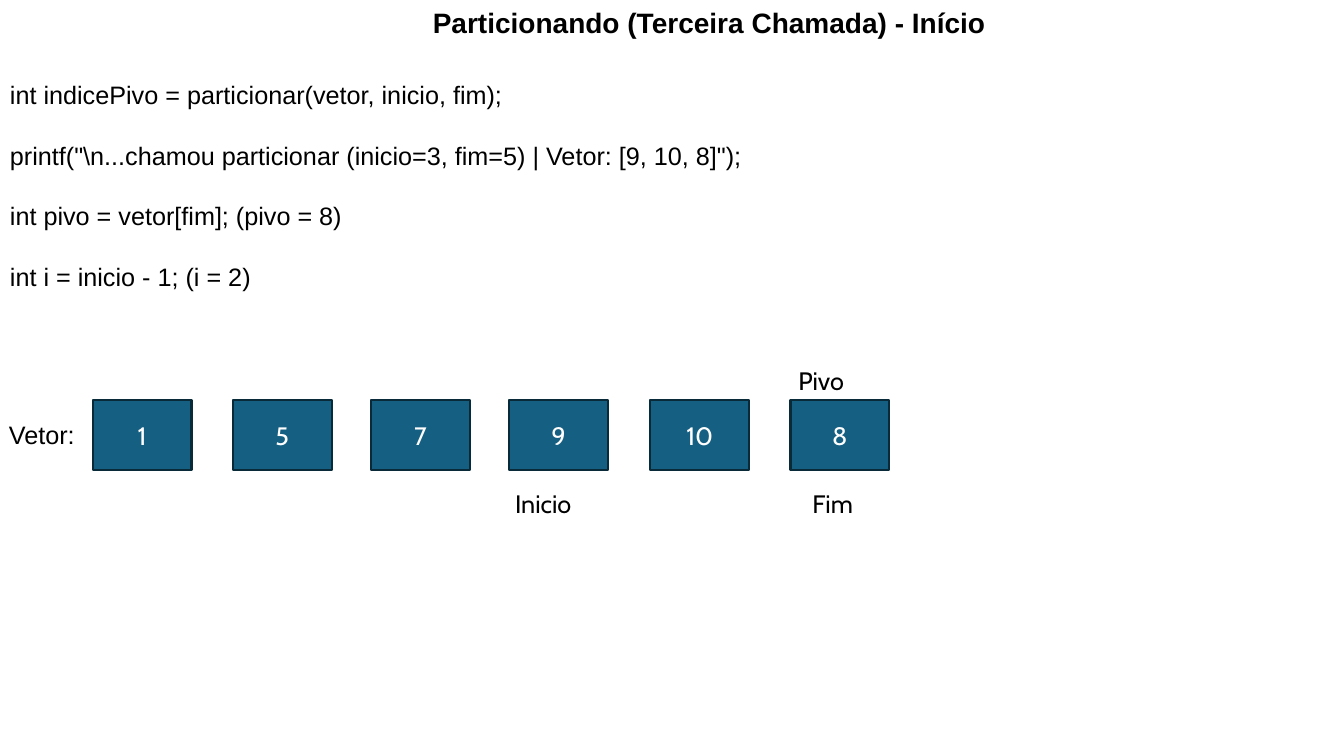
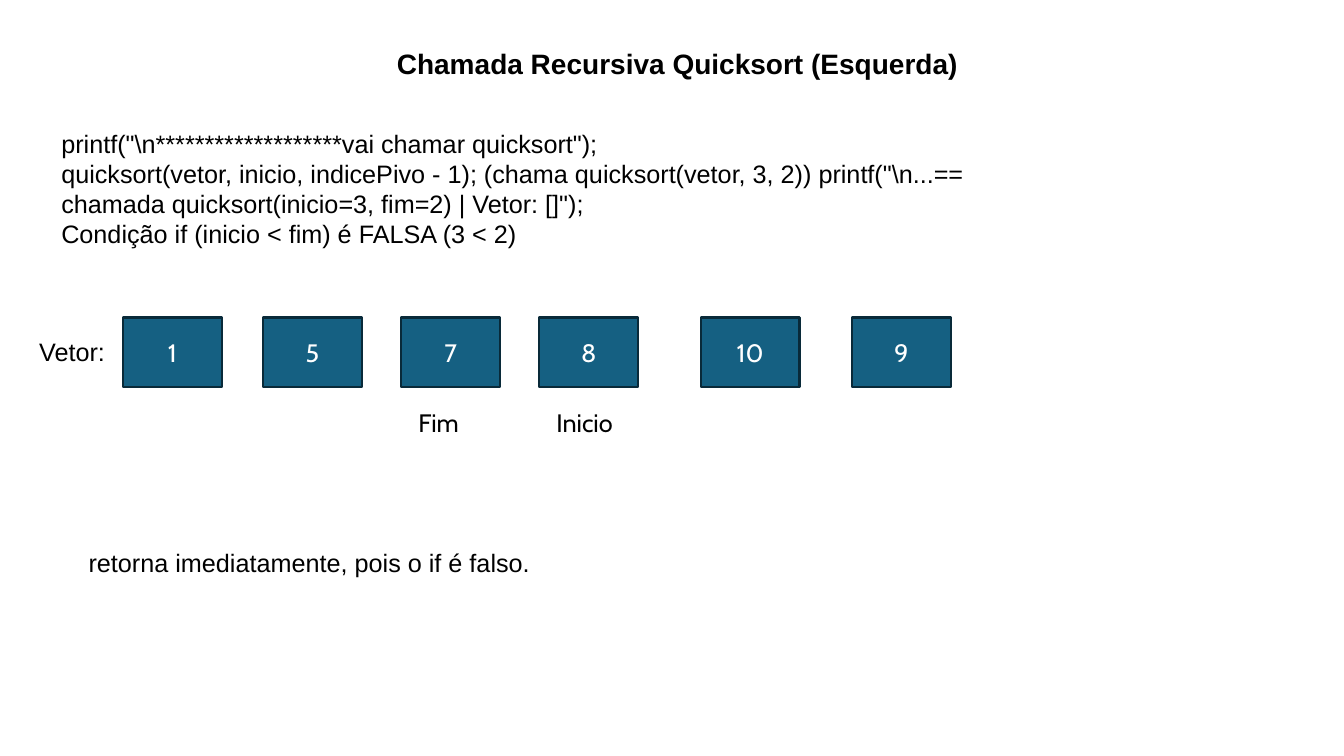
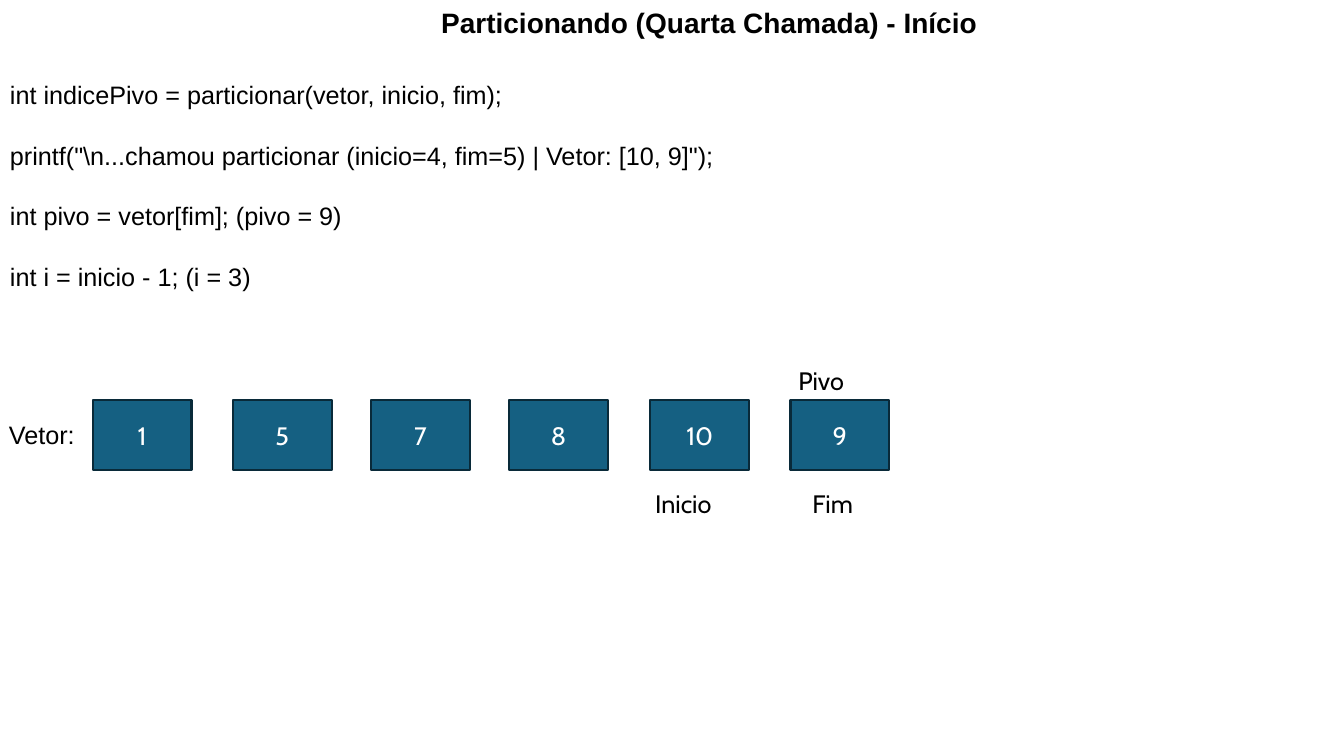
from pptx import Presentation
from pptx.dml.color import RGBColor as Rgb
from pptx.enum.shapes import MSO_SHAPE as Shape
from pptx.enum.text import MSO_ANCHOR as Anchor, PP_ALIGN as Align
from pptx.util import Pt

PX = 9144
HEX = {"text": "000000", "cell": "156082", "edge": "092A39", "digit": "FFFFFF"}
BODY, LABEL = "Arial", "Cabin"
LEAD = 1.2


def tint(name):
    return Rgb.from_string(HEX[name])


class Deck:
    def __init__(self):
        self.prs = Presentation()
        self.prs.slide_width, self.prs.slide_height = 1333 * PX, 750 * PX

    def style(self, par, face, size=18, color="text", bold=False):
        font = par.font
        font.name, font.size, font.bold = face, Pt(size), bold
        font.color.rgb = tint(color)
        if face == BODY:
            par.line_spacing = Pt(size * LEAD)

    def slide(self, title, x, y, w):
        self.page = self.prs.slides.add_slide(self.prs.slide_layouts[5])
        head = self.page.shapes.title
        head.left, head.top, head.width, head.height = (v * PX for v in (x, y, w, 44))
        frame = head.text_frame
        frame.text = title
        frame.vertical_anchor = Anchor.TOP
        par = frame.paragraphs[0]
        par.alignment = Align.CENTER
        self.style(par, BODY, 20, bold=True)

    def text(self, lines, x, y, w, h=40, face=BODY, gap=0):
        box = self.page.shapes.add_textbox(x * PX, y * PX, w * PX, h * PX)
        frame = box.text_frame
        frame.word_wrap = True
        frame.text = "\n".join(lines)
        for par in frame.paragraphs:
            self.style(par, face)
            par.space_after = Pt(gap)

    def label(self, word, x, y, w):
        self.text([word], x, y, w, face=LABEL)

    def cell(self, value, x, y):
        box = self.page.shapes.add_shape(Shape.RECTANGLE, x * PX, y * PX, 98 * PX, 69 * PX)
        box.shadow.inherit = False
        box.fill.solid()
        box.fill.fore_color.rgb = tint("cell")
        box.line.color.rgb = tint("edge")
        box.line.width = Pt(1.5)
        frame = box.text_frame
        frame.text = str(value)
        frame.vertical_anchor = Anchor.MIDDLE
        par = frame.paragraphs[0]
        par.alignment = Align.CENTER
        self.style(par, LABEL, color="digit")

    def array(self, values, spots, y):
        self.text(["Vetor:"], spots[0] - 93, y + 14, 1053)
        for value, x in zip(values, spots):
            self.cell(value, x, y)

    def split(self, call, first, values, left):
        self.slide(f"Particionando ({call} Chamada) - Início", 264, 0, 879)
        pivot = values[-1]
        lines = [
            "int indicePivo = particionar(vetor, inicio, fim);",
            rf'printf("\n...chamou particionar (inicio={first}, fim=5) | Vetor: {values[first:]}");',
            f"int pivo = vetor[fim]; (pivo = {pivot})",
            f"int i = inicio - 1; (i = {first - 1})",
        ]
        self.text(lines, 0, 74, 871, 283, gap=18 * LEAD)
        self.array(values, [92, 231, 368, 505, 645, 784], 397)
        self.label("Inicio", left, 480, 107)
        self.label("Fim", 796, 480, 76)
        self.label("Pivo", 782, 358, 96)

    def recurse(self):
        self.slide("Chamada Recursiva Quicksort (Esquerda)", 293, 41, 758)
        lines = [
            r'printf("\n*******************vai chamar quicksort");',
            "quicksort(vetor, inicio, indicePivo - 1); (chama quicksort(vetor, 3, 2)) "
            r'printf("\n...== chamada quicksort(inicio=3, fim=2) | Vetor: []");',
            "Condição if (inicio < fim) é FALSA (3 < 2)",
        ]
        self.text(lines, 51, 122, 1000, 162)
        self.array([1, 5, 7, 8, 10, 9], [122, 261, 398, 535, 695, 845], 315)
        self.label("Inicio", 542, 399, 85)
        self.label("Fim", 405, 399, 85)
        self.text(["retorna imediatamente, pois o if é falso."], 78, 538, 829)


def main():
    deck = Deck()
    deck.split("Terceira", 3, [1, 5, 7, 9, 10, 8], 501)
    deck.recurse()
    deck.split("Quarta", 4, [1, 5, 7, 8, 10, 9], 640)
    deck.prs.save("out.pptx")


if __name__ == "__main__":
    main()
